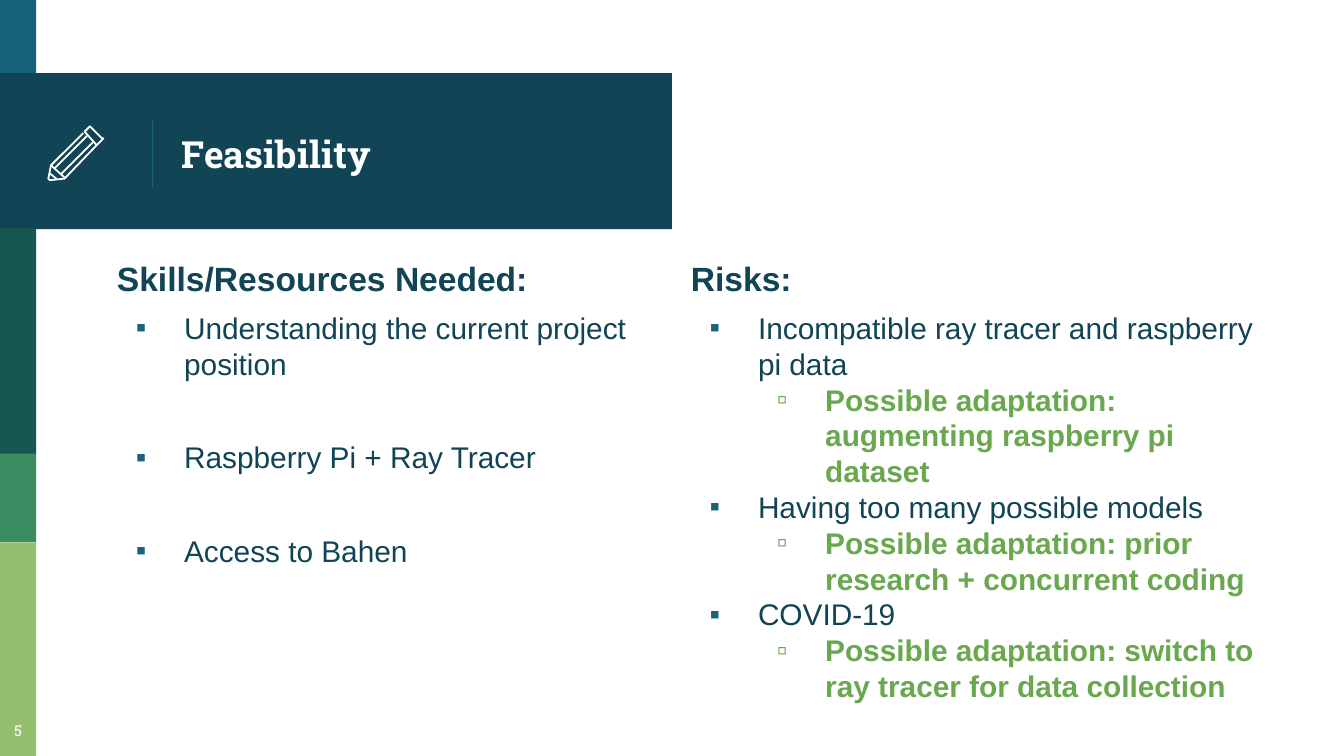
from dataclasses import dataclass

from lxml.etree import SubElement
from pptx import Presentation
from pptx.dml.color import RGBColor
from pptx.enum.shapes import MSO_CONNECTOR, MSO_SHAPE
from pptx.enum.text import MSO_ANCHOR, MSO_AUTO_SIZE, PP_ALIGN
from pptx.oxml.ns import qn
from pptx.util import Emu, Inches, Pt

WHITE = RGBColor(0xFF, 0xFF, 0xFF)
BLUE = RGBColor(0x18, 0x63, 0x7B)
NAVY = RGBColor(0x11, 0x44, 0x54)
PINE = RGBColor(0x16, 0x57, 0x51)
GREEN = RGBColor(0x3B, 0x8D, 0x61)
LIME = RGBColor(0x94, 0xBF, 0x6E)
LEAF = RGBColor(0x6A, 0xA8, 0x4F)

SLIDE_WIDTH = Inches(10)
SLIDE_HEIGHT = SLIDE_WIDTH * 9 // 16
CELL = SLIDE_WIDTH // 100  # square grid, 100 columns across the slide
PENCIL_UNIT = CELL // 10
STRIPE = 2.7


@dataclass(frozen=True)
class Box:
    column: float
    row: float
    columns: float
    rows: float

    def lengths(self) -> list[Emu]:
        return [Emu(round(cells * CELL))
                for cells in (self.column, self.row, self.columns, self.rows)]


@dataclass(frozen=True)
class Band:
    box: Box
    color: RGBColor


@dataclass(frozen=True)
class Style:
    size: int
    color: RGBColor
    bold: bool
    left: float = 0
    bullet: str = ""
    bullet_color: RGBColor = BLUE
    level: int = 0


@dataclass(frozen=True)
class Line:
    text: str
    style: Style
    space_before: float = 0


HEADING = Style(18, NAVY, True)
ITEM = Style(16, NAVY, False, 0.5, "▪")
ADAPTATION = Style(16, LEAF, True, 1, "▫", LEAF, 1)

BANDS = [
    Band(Box(0, 0, STRIPE, 5.8), BLUE),
    Band(Box(0, 5.45, 50, 11.6), NAVY),
    Band(Box(0, 17, STRIPE, 16.8), PINE),
    Band(Box(0, 33.75, STRIPE, 6.6), GREEN),
    Band(Box(0, 40.35, STRIPE, 15.9), LIME),
]

SKILLS = [
    Line("Skills/Resources Needed:", HEADING, 6),
    Line("Understanding the current project position", ITEM, 6),
    Line("Raspberry Pi + Ray Tracer", ITEM, 31),
    Line("Access to Bahen", ITEM, 31),
]
RISKS = [
    Line("Risks:", HEADING, 6),
    Line("Incompatible ray tracer and raspberry pi data", ITEM, 6),
    Line("Possible adaptation: augmenting raspberry pi dataset", ADAPTATION),
    Line("Having too many possible models", ITEM),
    Line("Possible adaptation: prior research + concurrent coding", ADAPTATION),
    Line("COVID-19", ITEM),
    Line("Possible adaptation: switch to ray tracer for data collection", ADAPTATION),
]

# Pencil strokes in tenths of a grid cell; the flag closes the outline.
PENCIL = [
    ([(76, 103), (68, 95), (67, 94), (66, 95), (63, 98), (72, 108),
      (76, 104), (77, 103)], True),
    ([(69, 106), (45, 130)], False),
    ([(62, 99), (38, 123), (36, 133), (37, 134), (38, 134), (47, 133),
      (48, 133), (72, 108)], False),
    ([(41, 125), (65, 101)], False),
    ([(42, 133), (37, 129)], False),
    ([(38, 123), (48, 132)], False),
]


def draw_band(slide, band: Band) -> None:
    shape = slide.shapes.add_shape(MSO_SHAPE.RECTANGLE, *band.box.lengths())
    shape.shadow.inherit = False
    shape.fill.solid()
    shape.fill.fore_color.rgb = band.color
    shape.line.fill.background()


def draw_divider(slide) -> None:
    left, top, _, height = Box(11.35, 8.9, 0, 5.1).lengths()
    divider = slide.shapes.add_connector(
        MSO_CONNECTOR.STRAIGHT, left, top, left, top + height)
    divider.line.color.rgb = BLUE
    divider.line.width = Pt(0.75)
    SubElement(divider.element.spPr, qn("a:effectLst"))


def draw_pencil(slide) -> None:
    group = slide.shapes.add_group_shape()
    for points, closed in PENCIL:
        builder = group.shapes.build_freeform(*points[0], scale=PENCIL_UNIT)
        builder.add_line_segments(points[1:], close=closed)
        stroke = builder.convert_to_shape()
        stroke.shadow.inherit = False
        stroke.fill.background()
        stroke.line.color.rgb = WHITE
        stroke.line.width = Pt(0.96)


def prepare_frame(shape, box: Box, anchor: MSO_ANCHOR):
    """Place the shape and return its text frame with even insets."""
    shape.left, shape.top, shape.width, shape.height = box.lengths()
    frame = shape.text_frame
    frame.word_wrap = True
    frame.auto_size = MSO_AUTO_SIZE.NONE
    frame.vertical_anchor = anchor
    frame.margin_left = frame.margin_right = Inches(0.1)
    frame.margin_top = frame.margin_bottom = Inches(0.1)
    return frame


def format_font(paragraph, name: str, size: int, color: RGBColor, bold: bool) -> None:
    font = paragraph.font
    font.name, font.size, font.bold = name, Pt(size), bold
    font.color.rgb = color


def set_bullet(paragraph, style: Style) -> None:
    properties = paragraph._p.get_or_add_pPr()
    properties.set("marL", str(Inches(style.left)))
    properties.set("indent", str(Inches(-0.36) if style.bullet else 0))
    if not style.bullet:
        SubElement(properties, qn("a:buNone"))
        return
    color = SubElement(properties, qn("a:buClr"))
    SubElement(color, qn("a:srgbClr"), val=str(style.bullet_color))
    SubElement(properties, qn("a:buFont"), typeface="Arial")
    SubElement(properties, qn("a:buChar"), char=style.bullet)


def fill_list(shape, box: Box, lines: list[Line]) -> None:
    frame = prepare_frame(shape, box, MSO_ANCHOR.TOP)
    for index, line in enumerate(lines):
        paragraph = frame.add_paragraph() if index else frame.paragraphs[0]
        paragraph.text = line.text
        paragraph.level = line.style.level
        paragraph.line_spacing = 1.0
        paragraph.space_before = Pt(line.space_before)
        paragraph.space_after = Pt(0)
        set_bullet(paragraph, line.style)
        format_font(paragraph, "Arial", line.style.size, line.style.color, line.style.bold)


def fill_label(shape, box: Box, text: str, size: int, bold: bool,
               alignment: PP_ALIGN, anchor: MSO_ANCHOR) -> None:
    paragraph = prepare_frame(shape, box, anchor).paragraphs[0]
    paragraph.text = text
    paragraph.alignment = alignment
    format_font(paragraph, "Roboto Slab", size, WHITE, bold)


def main() -> None:
    presentation = Presentation()
    presentation.slide_width, presentation.slide_height = SLIDE_WIDTH, SLIDE_HEIGHT
    slide = presentation.slides.add_slide(
        presentation.slide_layouts.get_by_name("Two Content"))
    title, skills, risks = slide.placeholders

    for band in BANDS:
        draw_band(slide, band)
    draw_divider(slide)
    for placeholder in (skills, title, risks):  # bring text in front of the bands
        slide.shapes.element.append(placeholder.element)

    fill_label(title, Box(12.5, 5.8, 35.1, 11.2), "Feasibility", 20, True,
               PP_ALIGN.LEFT, MSO_ANCHOR.MIDDLE)
    fill_list(skills, Box(7.7, 18.2, 40, 34.5), SKILLS)
    fill_list(risks, Box(50.4, 18.2, 45.6, 34.5), RISKS)
    draw_pencil(slide)
    number_box = Box(-0.55, 52.7, 3.8, 3.5)
    fill_label(slide.shapes.add_textbox(*number_box.lengths()), number_box, "5", 8,
               False, PP_ALIGN.CENTER, MSO_ANCHOR.TOP)
    presentation.save("out.pptx")


if __name__ == "__main__":
    main()
